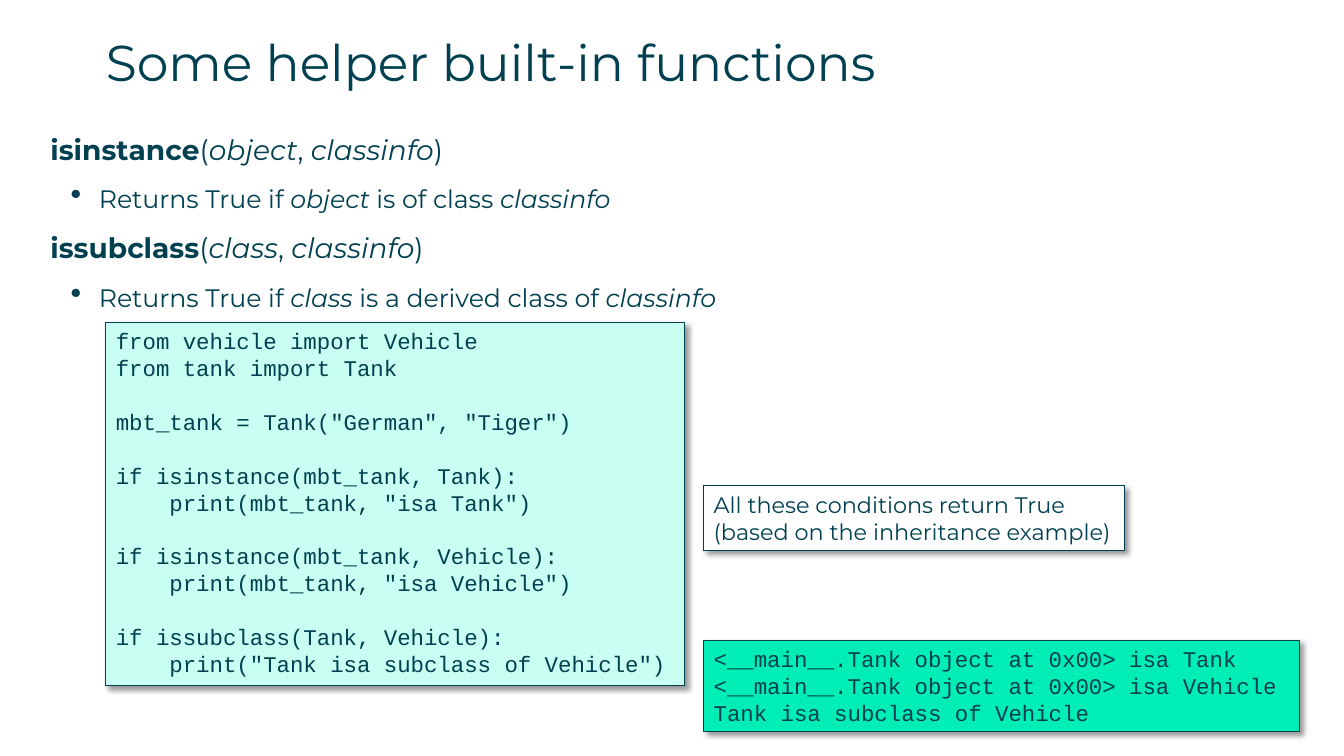
from lxml import etree
from pptx import Presentation
from pptx.dml.color import RGBColor
from pptx.enum.shapes import MSO_SHAPE as Shape
from pptx.enum.text import MSO_ANCHOR as Anchor, PP_ALIGN as Align
from pptx.oxml import parse_xml
from pptx.oxml.ns import nsdecls, qn
from pptx.util import Inches, Pt

WIDE, HIGH = Inches(13.33), Inches(7.5)
INK, MINT, GREEN, WHITE = "004050", "C8FFF2", "00EDB5", "FFFFFF"
SANS, MONO = "Montserrat", "Courier New"
LEFT, RIGHT = 7.88, 52.36
PITCH = Pt(19.2)

HELPERS = [
    ("isinstance", "object", " is of class "),
    ("issubclass", "class", " is a derived class of "),
]
CODE = """from vehicle import Vehicle
from tank import Tank

mbt_tank = Tank("German", "Tiger")

if isinstance(mbt_tank, Tank):
    print(mbt_tank, "isa Tank")

if isinstance(mbt_tank, Vehicle):
    print(mbt_tank, "isa Vehicle")

if issubclass(Tank, Vehicle):
    print("Tank isa subclass of Vehicle")"""
NOTE = """All these conditions return True
(based on the inheritance example)"""
RESULT = """<__main__.Tank object at 0x00> isa Tank
<__main__.Tank object at 0x00> isa Vehicle
Tank isa subclass of Vehicle"""


def color(code):
    return RGBColor.from_string(code)


def place(x, y, w, h):
    """Turn percentages of the slide into lengths."""
    return [int(size * part / 100)
            for size, part in zip((WIDE, HIGH, WIDE, HIGH), (x, y, w, h))]


def add_run(para, text, size, face=SANS, bold=False, italic=False):
    run = para.add_run()
    run.text = text
    font = run.font
    font.size, font.name = Pt(size), face
    font.bold, font.italic = bold, italic
    font.color.rgb = color(INK)


def next_para(frame):
    """Return the unused first paragraph, or a new one."""
    first = frame.paragraphs[0]
    return frame.add_paragraph() if first.runs else first


def add_text(slide, *spot):
    frame = slide.shapes.add_textbox(*place(*spot)).text_frame
    frame.word_wrap = True
    frame.margin_left = frame.margin_right = 0
    frame.margin_top = frame.margin_bottom = 0
    return frame


def add_bullet(para):
    props = para._p.get_or_add_pPr()
    props.set("marL", str(Inches(0.48)))
    props.set("indent", str(Inches(-0.28)))
    etree.SubElement(props, qn("a:buSzPct")).set("val", "125000")
    etree.SubElement(props, qn("a:buChar")).set("char", "•")


def add_item(frame, parts, size, bullet=False):
    """Add a paragraph of (text, style) parts; style is b, i or empty."""
    para = next_para(frame)
    if para is not frame.paragraphs[0]:
        para.space_before = Pt(6)
    para.space_after = Pt(6.5)
    if bullet:
        add_bullet(para)
    for text, style in parts:
        add_run(para, text, size, bold=style == "b", italic=style == "i")


def add_shadow(shape):
    shape.shadow.inherit = False
    effects = shape._element.spPr.find(qn("a:effectLst"))
    effects.append(parse_xml(
        f'<a:outerShdw {nsdecls("a")} blurRad="{Pt(4)}" dist="{Pt(3)}" '
        'dir="2700000" algn="tl" rotWithShape="0"><a:srgbClr val="000000">'
        '<a:alpha val="40000"/></a:srgbClr></a:outerShdw>'))


def add_panel(slide, spot, fill, text, face):
    panel = slide.shapes.add_shape(Shape.RECTANGLE, *place(*spot))
    panel.fill.solid()
    panel.fill.fore_color.rgb = color(fill)
    panel.line.color.rgb = color(INK)
    panel.line.width = Pt(0.75)
    add_shadow(panel)
    frame = panel.text_frame
    frame.word_wrap = True
    frame.vertical_anchor = Anchor.TOP
    gap = False
    for line in text.splitlines():
        if line:
            para = next_para(frame)
            para.alignment = Align.LEFT
            para.line_spacing = PITCH
            if gap:
                para.space_before = PITCH
            add_run(para, line, 16, face)
        gap = not line


def main():
    deck = Presentation()
    deck.slide_width, deck.slide_height = WIDE, HIGH
    slide = deck.slides.add_slide(deck.slide_layouts[6])

    title = add_text(slide, LEFT, 4.13, 92.12, 11.73)
    add_run(title.paragraphs[0], "Some helper built-in functions", 36)

    body = add_text(slide, 3.75, 17.47, 94.45, 25.33)
    for name, arg, link in HELPERS:
        add_item(body, [(name, "b"), ("(", ""), (arg, "i"), (", ", ""),
                        ("classinfo", "i"), (")", "")], 20)
        add_item(body, [("Returns True if ", ""), (arg, "i"), (link, ""),
                        ("classinfo", "i")], 18, bullet=True)

    add_panel(slide, (LEFT, 42.67, 43.06, 48), MINT, CODE, MONO)
    add_panel(slide, (RIGHT, 64.27, 31.28, 8.53), WHITE, NOTE, SANS)
    add_panel(slide, (RIGHT, 84.67, 44.34, 12.13), GREEN, RESULT, MONO)
    deck.save("out.pptx")


if __name__ == "__main__":
    main()
